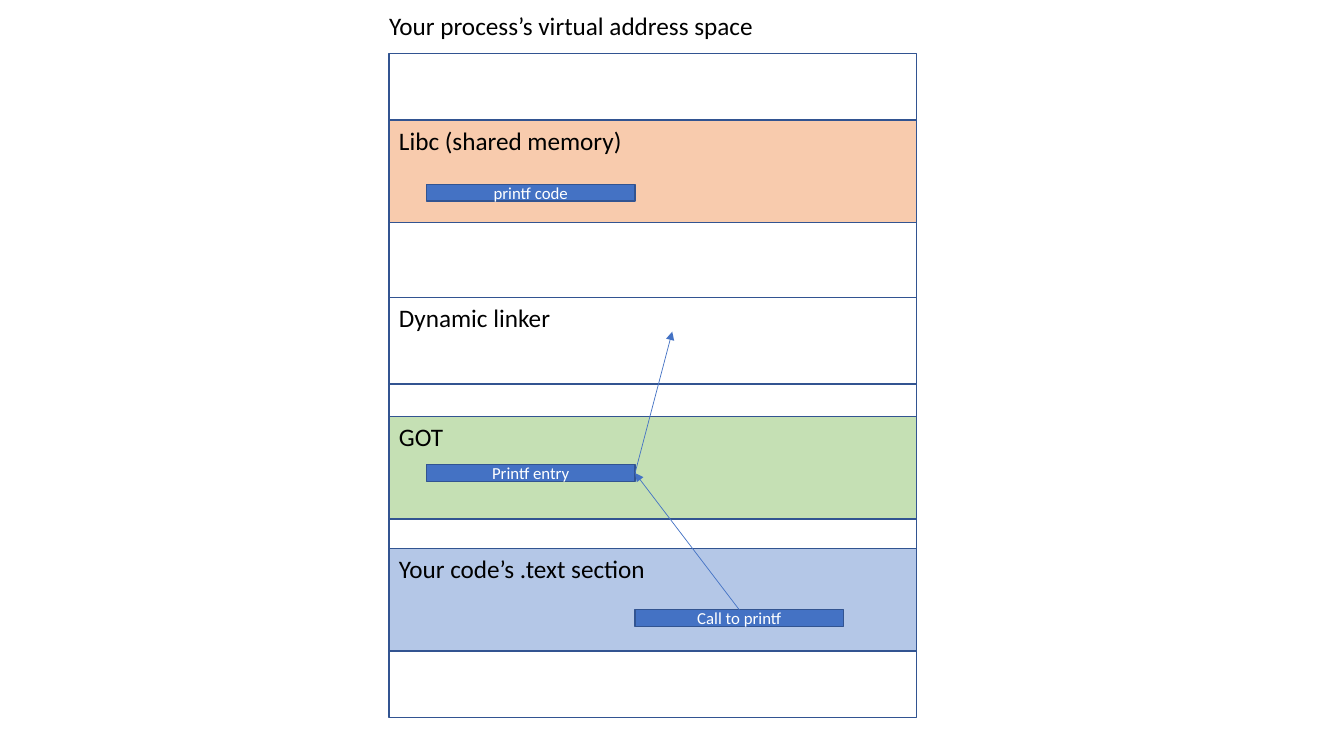
from dataclasses import dataclass

from lxml import etree
from pptx import Presentation
from pptx.dml.color import RGBColor
from pptx.enum.shapes import MSO_CONNECTOR, MSO_SHAPE
from pptx.enum.text import MSO_ANCHOR, MSO_AUTO_SIZE, PP_ALIGN
from pptx.oxml.ns import qn
from pptx.shapes.autoshape import Shape
from pptx.shapes.connector import Connector
from pptx.slide import Slide
from pptx.text.text import TextFrame
from pptx.util import Pt

RECTANGLE = MSO_SHAPE.RECTANGLE
STRAIGHT = MSO_CONNECTOR.STRAIGHT
LEFT, CENTER = PP_ALIGN.LEFT, PP_ALIGN.CENTER
TOP, MIDDLE = MSO_ANCHOR.TOP, MSO_ANCHOR.MIDDLE
NO_AUTO_SIZE = MSO_AUTO_SIZE.NONE
TOP_SIDE, RIGHT_SIDE = 0, 3
TITLE_ONLY = 5

FONT = "Calibri"
BLACK, WHITE = "000000", "FFFFFF"
BLUE, DARK_BLUE = "4472C4", "325491"
SPACE_LEFT, SPACE_TOP = 277.9, 38.2
SPACE_WIDTH, SPACE_HEIGHT = 376.6, 474.5
SECTION_HEIGHT, LINKER_HEIGHT = 73.4, 61.9
SLOT_WIDTH, SLOT_HEIGHT = 149, 11.8
SLOT_LEFT = 304.6
LINKER_TARGET = (480.2, 236.9)


@dataclass(frozen=True)
class Section:
    label: str
    top: float
    height: float = SECTION_HEIGHT
    fill: str | None = None


@dataclass(frozen=True)
class Slot:
    label: str
    left: float
    top: float


SECTIONS = [
    Section("Libc (shared memory)", 85.7, fill="F8CBAD"),
    Section("Dynamic linker", 212.4, LINKER_HEIGHT),
    Section("GOT", 297.4, fill="C5E0B4"),
    Section("Your code’s .text section", 391.7, fill="B4C7E7"),
]
PRINTF_CODE = Slot("printf code", SLOT_LEFT, 131.8)
PRINTF_ENTRY = Slot("Printf entry", SLOT_LEFT, 332)
PRINTF_CALL = Slot("Call to printf", SLOT_LEFT + SLOT_WIDTH, 435.6)


def color(value: str) -> RGBColor:
    return RGBColor.from_string(value)


def write(frame: TextFrame, text: str, size: float, text_color: str,
          alignment: PP_ALIGN, anchor: MSO_ANCHOR) -> None:
    frame.text = text
    frame.vertical_anchor = anchor
    paragraph = frame.paragraphs[0]
    paragraph.alignment = alignment
    font = paragraph.runs[0].font
    font.name = FONT
    font.size = Pt(size)
    font.color.rgb = color(text_color)


def add_box(slide: Slide, left: float, top: float, width: float,
            height: float, fill: str | None = None) -> Shape:
    shape = slide.shapes.add_shape(
        RECTANGLE, Pt(left), Pt(top), Pt(width), Pt(height))
    shape.shadow.inherit = False
    if fill is None:
        shape.fill.background()
    else:
        shape.fill.solid()
        shape.fill.fore_color.rgb = color(fill)
    shape.line.color.rgb = color(DARK_BLUE)
    shape.line.width = Pt(1)
    return shape


def add_section(slide: Slide, section: Section) -> None:
    shape = add_box(slide, SPACE_LEFT, section.top, SPACE_WIDTH,
                    section.height, section.fill)
    write(shape.text_frame, section.label, 18, BLACK, LEFT, TOP)


def add_slot(slide: Slide, slot: Slot) -> Shape:
    shape = add_box(slide, slot.left, slot.top, SLOT_WIDTH, SLOT_HEIGHT, BLUE)
    write(shape.text_frame, slot.label, 12, WHITE, CENTER, MIDDLE)
    return shape


def add_arrow(slide: Slide, start: Shape, side: int) -> Connector:
    x, y = LINKER_TARGET
    connector = slide.shapes.add_connector(STRAIGHT, 0, 0, Pt(x), Pt(y))
    connector.begin_connect(start, side)
    connector.line.color.rgb = color(BLUE)
    connector.line.width = Pt(0.5)
    line = connector.line._get_or_add_ln()
    etree.SubElement(line, qn("a:tailEnd"), type="triangle")
    etree.SubElement(connector._element.spPr, qn("a:effectLst"))
    return connector


def add_title(slide: Slide) -> None:
    title = slide.shapes.title
    title.left, title.top = Pt(270.7), Pt(3.6)
    title.width, title.height = Pt(277.2), Pt(29)
    frame = title.text_frame
    frame.word_wrap = False
    frame.auto_size = NO_AUTO_SIZE
    write(frame, "Your process’s virtual address space", 18, BLACK, LEFT, TOP)


def main() -> None:
    presentation = Presentation()
    presentation.slide_width, presentation.slide_height = Pt(960), Pt(540)
    slide = presentation.slides.add_slide(
        presentation.slide_layouts[TITLE_ONLY])
    add_title(slide)
    add_box(slide, SPACE_LEFT, SPACE_TOP, SPACE_WIDTH, SPACE_HEIGHT)
    for section in SECTIONS:
        add_section(slide, section)
    add_slot(slide, PRINTF_CODE)
    entry = add_slot(slide, PRINTF_ENTRY)
    call = add_slot(slide, PRINTF_CALL)
    add_arrow(slide, call, TOP_SIDE).end_connect(entry, RIGHT_SIDE)
    add_arrow(slide, entry, RIGHT_SIDE)
    presentation.save("out.pptx")


if __name__ == "__main__":
    main()
